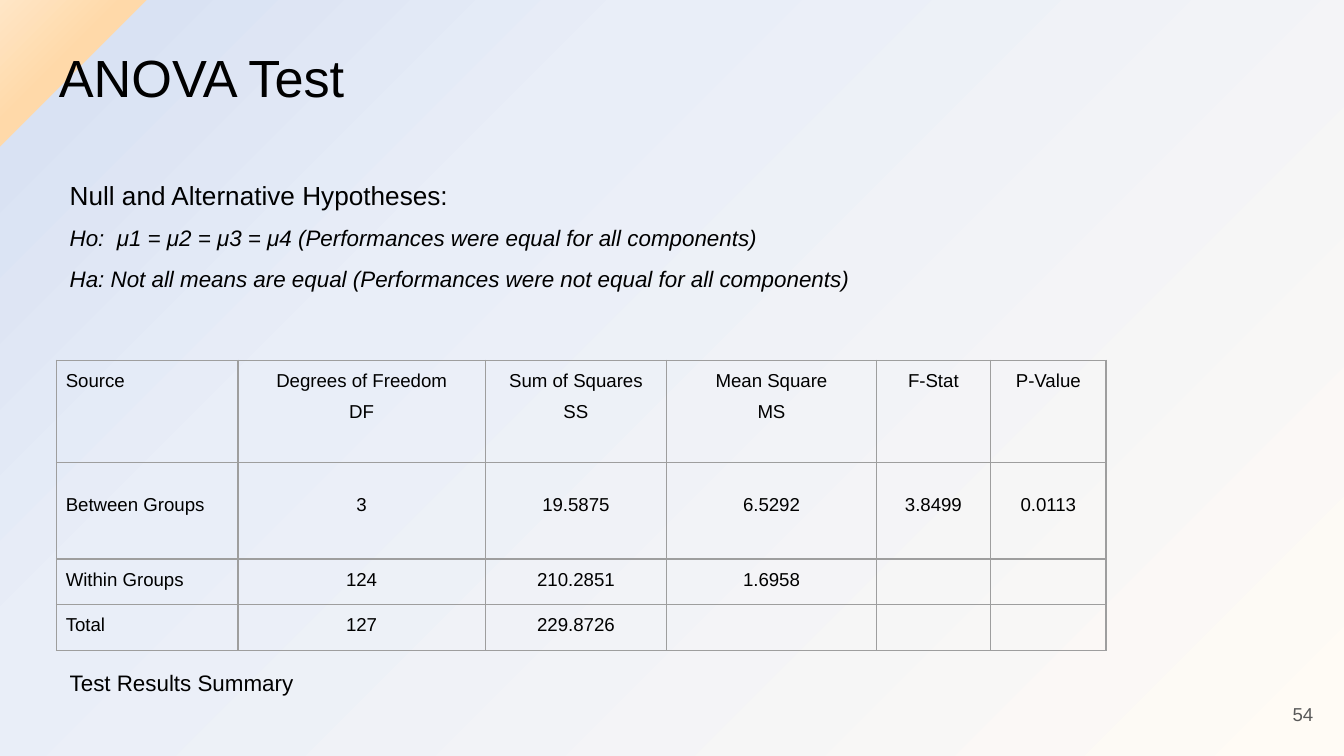
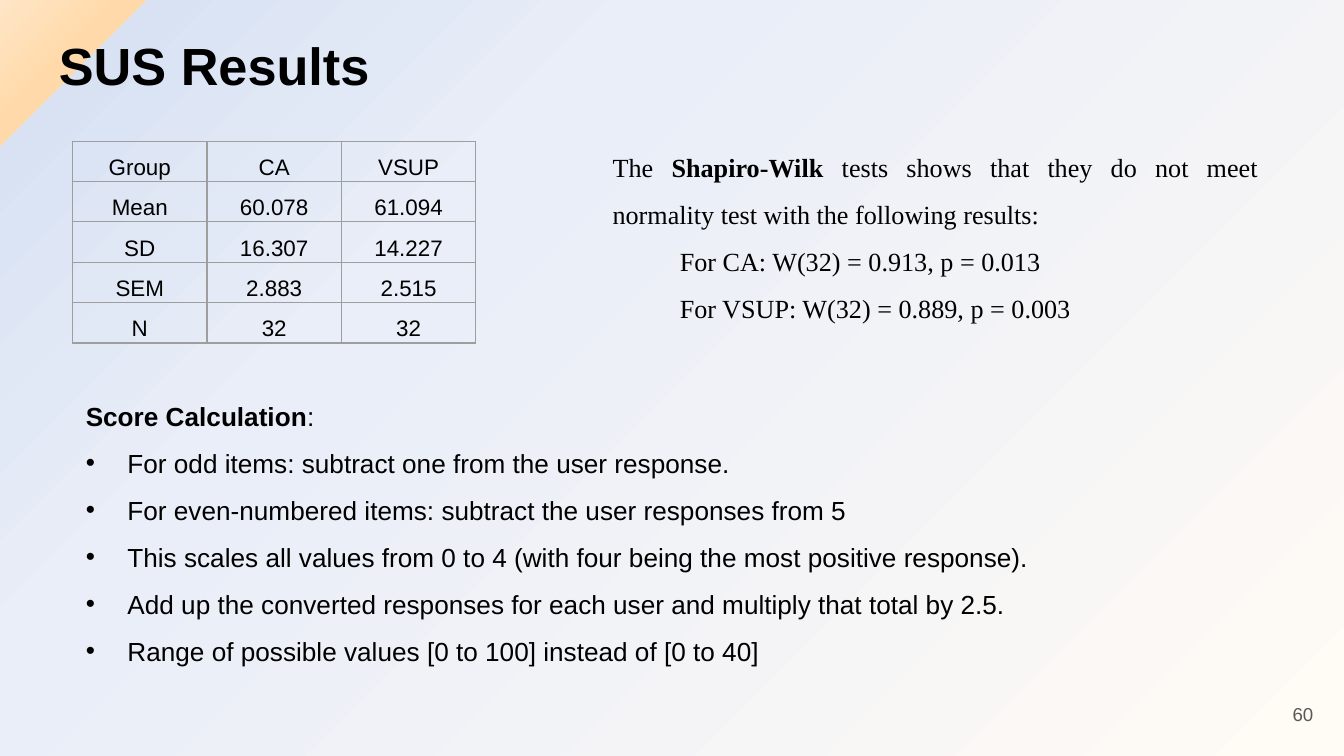
from lxml import etree
from pptx import Presentation
from pptx import util as u
from pptx.dml.color import RGBColor
from pptx.enum import text
from pptx.oxml import parse_xml
from pptx.oxml.ns import nsdecls, qn

COLORS = {"text": "000000", "number": "595959", "border": "9E9E9E"}
STOPS = [(0, "FFFBF5"), (68, "E9EEF8"), (93, "D9E2F3"),
         (93, "FFD9A9"), (94, "FFD9A9"), (100, "FFE6C6")]
LEFT, CENTER = text.PP_ALIGN.LEFT, text.PP_ALIGN.CENTER
RIGHT, JUSTIFY = text.PP_ALIGN.RIGHT, text.PP_ALIGN.JUSTIFY
TOP, MIDDLE = text.MSO_ANCHOR.TOP, text.MSO_ANCHOR.MIDDLE


def write(tf, paras, size=14, font="Arial", color="text", bold=False, italic=False,
          align=LEFT, spacing=None, indent=0, bullet=False, more=False):
    for i, runs in enumerate(paras):
        p = tf.add_paragraph() if i or more else tf.paragraphs[0]
        pPr = p._p.get_or_add_pPr()
        if indent:
            pPr.set("marL", str(u.Inches(indent)))
        if bullet:
            pPr.set("indent", str(-u.Inches(indent)))
            clr = etree.SubElement(pPr, qn("a:buClr"))
            etree.SubElement(clr, qn("a:srgbClr")).set("val", COLORS[color])
            etree.SubElement(pPr, qn("a:buFont")).set("typeface", font)
            etree.SubElement(pPr, qn("a:buChar")).set("char", "•")
        p.alignment = align
        if spacing:
            p.line_spacing = spacing
        for words, strong in [(runs, bold)] if isinstance(runs, str) else runs:
            for n, line in enumerate(words.split("\n")):
                if n:
                    p.add_line_break()
                r = p.add_run()
                r.text = line
                r.font.name, r.font.size = font, u.Pt(size)
                r.font.bold, r.font.italic = strong, italic
                r.font.color.rgb = RGBColor.from_string(COLORS[color])
                r.font._element.set("kern", "0")


def add_grid(s, box, cols, heights, rows, size, anchor=TOP, first_align=LEFT, drops={}):
    sp = s.shapes.add_table(len(rows), len(cols), *map(u.Inches, box))
    tbl = sp.table
    tbl.first_row = tbl.horz_banding = False
    for col, w in zip(tbl.columns, cols):
        col.width = u.Inches(w)
    for i, (row, h, values) in enumerate(zip(tbl.rows, heights, rows)):
        row.height = u.Inches(h)
        for j, (cell, value) in enumerate(zip(row.cells, values)):
            cell.margin_left = cell.margin_right = u.Inches(0.07)
            cell.margin_top, cell.margin_bottom = u.Inches(drops.get(i, 0)), 0
            cell.vertical_anchor = anchor
            cell.fill.background()
            tcPr = cell._tc.get_or_add_tcPr()
            for k, side in enumerate("LRTB"):
                tcPr.insert(k, parse_xml(
                    f'<a:ln{side} {nsdecls("a")} w="{u.Pt(0.75)}"><a:solidFill>'
                    f'<a:srgbClr val="{COLORS["border"]}"/></a:solidFill></a:ln{side}>'))
            if value:
                write(cell.text_frame, [value] if isinstance(value, str) else value,
                      size=size, spacing=1.5, align=CENTER if j else first_align)
    sp.height = u.Inches(box[3])


prs = Presentation()
prs.slide_width, prs.slide_height = u.Inches(10), u.Inches(10 * 9 / 16)

master = prs.slide_master
master.background.fill.solid()
bgPr = master.element.xpath(".//p:bgPr")[0]
stops = "".join(f'<a:gs pos="{pos * 1000}"><a:srgbClr val="{c}"/></a:gs>' for pos, c in STOPS)
bgPr.replace(bgPr[0], parse_xml(
    f'<a:gradFill {nsdecls("a")} rotWithShape="1"><a:gsLst>{stops}</a:gsLst>'
    '<a:path path="circle"><a:fillToRect l="100000" t="100000"/></a:path>'
    '<a:tileRect r="-100000" b="-100000"/></a:gradFill>'))

slides = []
for title, top, bold, number in [("ANOVA Test", 0.24, False, "54"),
                                 ("SUS Results", 0.15, True, "60")]:
    s = prs.slides.add_slide(prs.slide_layouts[6])
    slides.append(s)
    for words, box, anchor, fmt in [
            (title, (0.34, top, 9.32, 0.63), TOP, dict(size=28, bold=bold)),
            (number, (9.27, 5.1, 0.6, 0.43), MIDDLE,
             dict(size=10, color="number", align=RIGHT))]:
        tf = s.shapes.add_textbox(*map(u.Inches, box)).text_frame
        tf.word_wrap = True
        tf.vertical_anchor = anchor
        tf.margin_top = tf.margin_bottom = u.Inches(0.1)
        write(tf, [words], **fmt)
anova, sus = slides

tf = anova.shapes.add_textbox(*map(u.Inches, (0.42, 1.17, 6.06, 1.02))).text_frame
tf.word_wrap = True
write(tf, ["Null and Alternative Hypotheses:"], spacing=1.5)
write(tf, ["Ho:  μ1 = μ2 = μ3 = μ4 (Performances were equal for all components)",
           "Ha: Not all means are equal (Performances were not equal for all components)"],
      size=12, italic=True, spacing=1.5, more=True)

add_grid(anova, (0.42, 2.68, 7.8, 2.16), [1.35, 1.84, 1.35, 1.56, 0.85, 0.86],
         [0.76, 0.72, 0.34, 0.34], [
    ["Source", ["Degrees of Freedom", "DF"], "Sum of Squares\nSS", "Mean Square\nMS",
     "F-Stat", "P-Value"],
    ["Between Groups", "3", "19.5875", "6.5292", "3.8499", "0.0113"],
    ["Within Groups", "124", "210.2851", "1.6958", "", ""],
    ["Total", "127", "229.8726", "", "", ""],
], size=10, drops={1: 0.16})

tf = anova.shapes.add_textbox(*map(u.Inches, (0.42, 4.93, 1.95, 0.3))).text_frame
write(tf, ["Test Results Summary"], size=12)

add_grid(sus, (0.54, 1.05, 3, 1.32), [1] * 3, [0] * 5, [
    ["Group", "CA", "VSUP"],
    ["Mean", "60.078", "61.094"],
    ["SD", "16.307", "14.227"],
    ["SEM", "2.883", "2.515"],
    ["N", "32", "32"],
], size=12, anchor=MIDDLE, first_align=CENTER)

tf = sus.shapes.add_textbox(*map(u.Inches, (0.54, 2.81, 7.53, 2.18))).text_frame
tf.word_wrap = True
write(tf, [[("Score Calculation", True), (":", False)]], spacing=1.5)
write(tf, ["For odd items: subtract one from the user response.",
           "For even-numbered items: subtract the user responses from 5",
           "This scales all values from 0 to 4 (with four being the most positive response).",
           "Add up the converted responses for each user and multiply that total by 2.5.",
           "Range of possible values [0 to 100] instead of [0 to 40]"],
      spacing=1.5, indent=0.31, bullet=True, more=True)

tf = sus.shapes.add_textbox(*map(u.Inches, (4.46, 0.96, 5, 1.47))).text_frame
tf.word_wrap = True
write(tf, [[("The ", False), ("Shapiro-Wilk", True),
            (" tests shows that they do not meet normality test with the following results:",
             False)]],
      font="Times New Roman", align=JUSTIFY, spacing=1.5)
write(tf, ["For CA: W(32) = 0.913, p = 0.013", "For VSUP: W(32) = 0.889, p = 0.003"],
      font="Times New Roman", spacing=1.5, indent=0.5, more=True)

prs.save("out.pptx")
